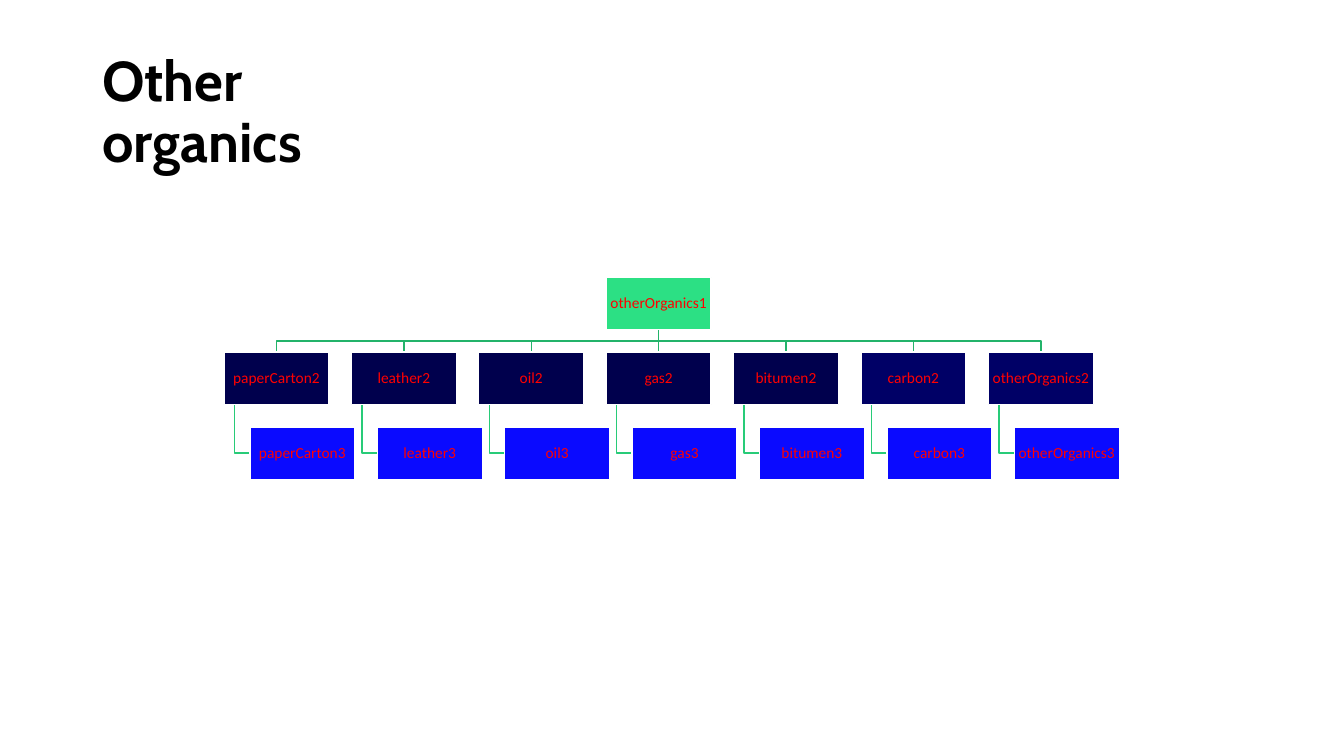
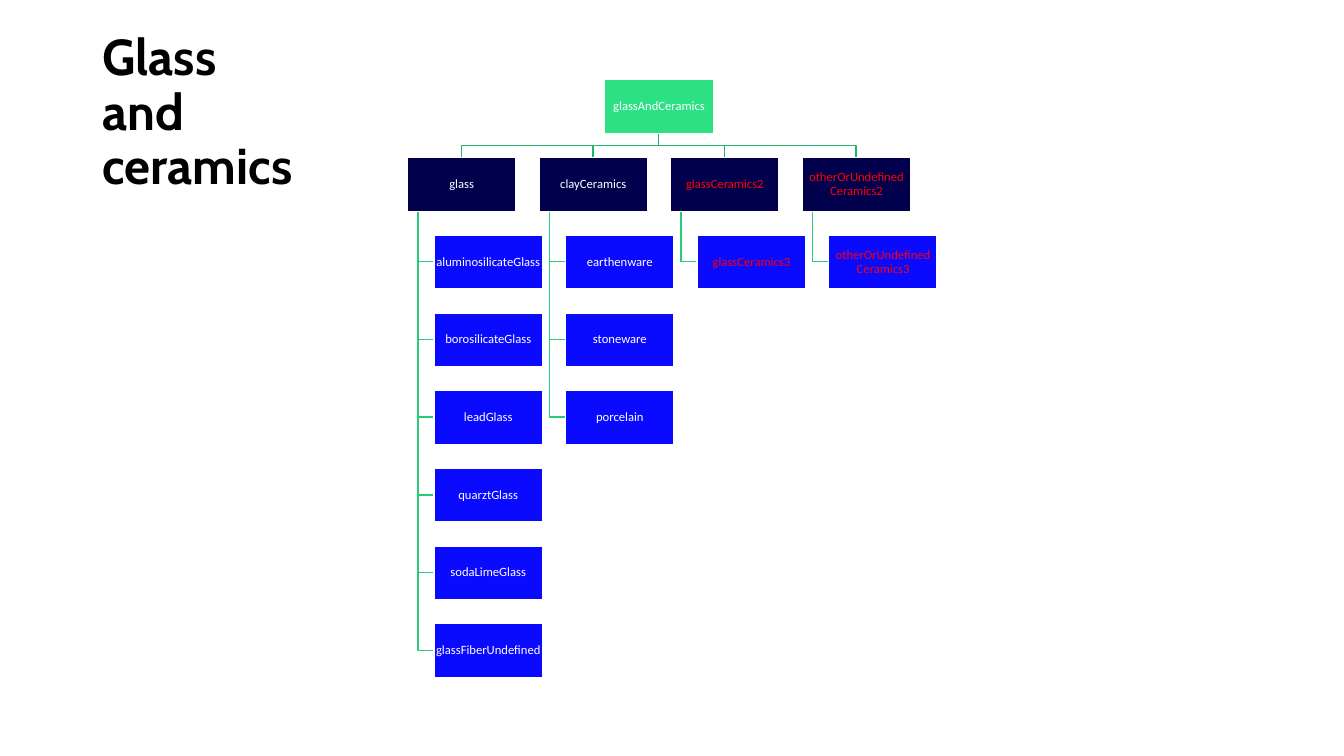
"""Build two slides that show material classes as organisation charts."""
from dataclasses import dataclass

from lxml.etree import SubElement
from pptx import Presentation
from pptx.dml.color import RGBColor
from pptx.enum.shapes import MSO_CONNECTOR as Connector, MSO_SHAPE as Shape
from pptx.enum.text import MSO_ANCHOR as Anchor, MSO_AUTO_SIZE as AutoSize, PP_ALIGN as Align
from pptx.oxml.ns import qn
from pptx.util import Emu, Pt

SCALE = 6350
SLIDE_SIZE = (1920, 1080)
TITLE_BOX = (132, 58, 1656, 209)
ROOT_CENTER = 941
TEXT_INSET = 1

WHITE = RGBColor(0xFF, 0xFF, 0xFF)
BLACK = RGBColor(0x00, 0x00, 0x00)
RED = RGBColor(0xFF, 0x00, 0x00)
GREEN = RGBColor(0x2C, 0xE0, 0x84)
NAVY = RGBColor(0x00, 0x00, 0x4D)
LIGHT_NAVY = RGBColor(0x00, 0x00, 0x66)
BLUE = RGBColor(0x0A, 0x0A, 0xFF)
TRUNK_GREEN = RGBColor(0x23, 0xB3, 0x6A)
TWIG_GREEN = RGBColor(0x28, 0xCB, 0x78)


@dataclass(frozen=True)
class Branch:
    name: str
    leaves: tuple[str, ...]
    color: RGBColor = RED
    fill: RGBColor = NAVY


@dataclass(frozen=True)
class Chart:
    title: str
    title_size: int
    root: str
    root_color: RGBColor
    branches: tuple[Branch, ...]
    top: int
    box_width: int
    box_height: int
    column_step: int
    row_step: int
    text_size: int


CHARTS = (
    Chart(
        "Other\vorganics", 40, "otherOrganics1", RED,
        tuple(
            Branch(f"{name}2", (f"{name}3",), fill=fill)
            for name, fill in (
                ("paperCarton", NAVY), ("leather", NAVY), ("oil", NAVY), ("gas", NAVY),
                ("bitumen", NAVY), ("carbon", LIGHT_NAVY), ("otherOrganics", LIGHT_NAVY),
            )
        ),
        top=396, box_width=150, box_height=75, column_step=182, row_step=107, text_size=11,
    ),
    Chart(
        "Glass\vand\vceramics", 36, "glassAndCeramics", WHITE,
        (
            Branch("glass", ("aluminosilicateGlass", "borosilicateGlass", "leadGlass",
                             "quarztGlass", "sodaLimeGlass", "glassFiberUndefined"), WHITE),
            Branch("clayCeramics", ("earthenware", "stoneware", "porcelain"), WHITE),
            Branch("glassCeramics2", ("glassCeramics3",)),
            Branch("otherOrUndefined\vCeramics2", ("otherOrUndefined\vCeramics3",)),
        ),
        top=114, box_width=155, box_height=77, column_step=188, row_step=111, text_size=9,
    ),
)


def px(length: int) -> Emu:
    return Emu(length * SCALE)


def write_text(shape, text: str, *, font: str, size: int, color: RGBColor,
               bold: bool = False, align: Align = Align.CENTER) -> None:
    frame = shape.text_frame
    frame.text = text
    frame.word_wrap = True
    frame.auto_size = AutoSize.NONE
    frame.vertical_anchor = Anchor.MIDDLE
    paragraph = frame.paragraphs[0]
    paragraph.alignment = align
    paragraph.line_spacing = 0.9
    for run in paragraph.runs:
        run.font.name = font
        run.font.size = Pt(size)
        run.font.bold = bold
        run.font.color.rgb = color


def add_title(slide, chart: Chart) -> None:
    title = slide.shapes.title
    title.left, title.top, title.width, title.height = map(px, TITLE_BOX)
    write_text(title, chart.title, font="Cabin", size=chart.title_size, color=BLACK,
               bold=True, align=Align.LEFT)


def add_box(slide, chart: Chart, left: int, top: int, text: str,
            fill: RGBColor, color: RGBColor) -> None:
    box = slide.shapes.add_shape(Shape.RECTANGLE, px(left), px(top),
                                 px(chart.box_width), px(chart.box_height))
    box.shadow.inherit = False
    box.fill.solid()
    box.fill.fore_color.rgb = fill
    box.line.color.rgb = WHITE
    box.line.width = Pt(1)
    frame = box.text_frame
    frame.margin_left = frame.margin_right = px(TEXT_INSET)
    frame.margin_top = frame.margin_bottom = px(TEXT_INSET)
    write_text(box, text, font="Calibri", size=chart.text_size, color=color)


def add_link(slide, points: list[tuple[int, int]], color: RGBColor) -> None:
    start, end = points[0], points[-1]
    if start[0] == end[0]:
        link = slide.shapes.add_connector(Connector.STRAIGHT, *map(px, start + end))
        SubElement(link._element.spPr, qn("a:effectLst"))
    else:
        builder = slide.shapes.build_freeform(*start, scale=SCALE)
        builder.add_line_segments(points[1:], close=False)
        link = builder.convert_to_shape()
        link.shadow.inherit = False
        link.fill.background()
    link.line.color.rgb = color
    link.line.width = Pt(1)


def branch_left(chart: Chart, index: int) -> int:
    offset = (2 * index - len(chart.branches) + 1) * chart.column_step // 2
    return ROOT_CENTER + offset - chart.box_width // 2


def row_top(chart: Chart, row: int) -> int:
    return chart.top + row * chart.row_step


def add_links(slide, chart: Chart) -> None:
    root_bottom = chart.top + chart.box_height
    branch_top = row_top(chart, 1)
    middle = (root_bottom + branch_top) // 2
    for index, branch in enumerate(chart.branches):
        left = branch_left(chart, index)
        center = left + chart.box_width // 2
        add_link(slide, [(ROOT_CENTER, root_bottom), (ROOT_CENTER, middle),
                         (center, middle), (center, branch_top)], TRUNK_GREEN)
        spine = left + chart.box_width // 10
        for row in range(2, len(branch.leaves) + 2):
            leaf_middle = row_top(chart, row) + chart.box_height // 2
            add_link(slide, [(spine, branch_top + chart.box_height), (spine, leaf_middle),
                             (left + chart.box_width // 4, leaf_middle)], TWIG_GREEN)


def add_boxes(slide, chart: Chart) -> None:
    add_box(slide, chart, ROOT_CENTER - chart.box_width // 2, chart.top,
            chart.root, GREEN, chart.root_color)
    for index, branch in enumerate(chart.branches):
        left = branch_left(chart, index)
        add_box(slide, chart, left, row_top(chart, 1), branch.name, branch.fill, branch.color)
        for row, leaf in enumerate(branch.leaves, start=2):
            add_box(slide, chart, left + chart.box_width // 4, row_top(chart, row),
                    leaf, BLUE, branch.color)


def main() -> None:
    presentation = Presentation()
    presentation.slide_width, presentation.slide_height = map(px, SLIDE_SIZE)
    title_only = presentation.slide_layouts.get_by_name("Title Only")
    for chart in CHARTS:
        slide = presentation.slides.add_slide(title_only)
        add_title(slide, chart)
        add_links(slide, chart)
        add_boxes(slide, chart)
    presentation.save("out.pptx")


if __name__ == "__main__":
    main()
